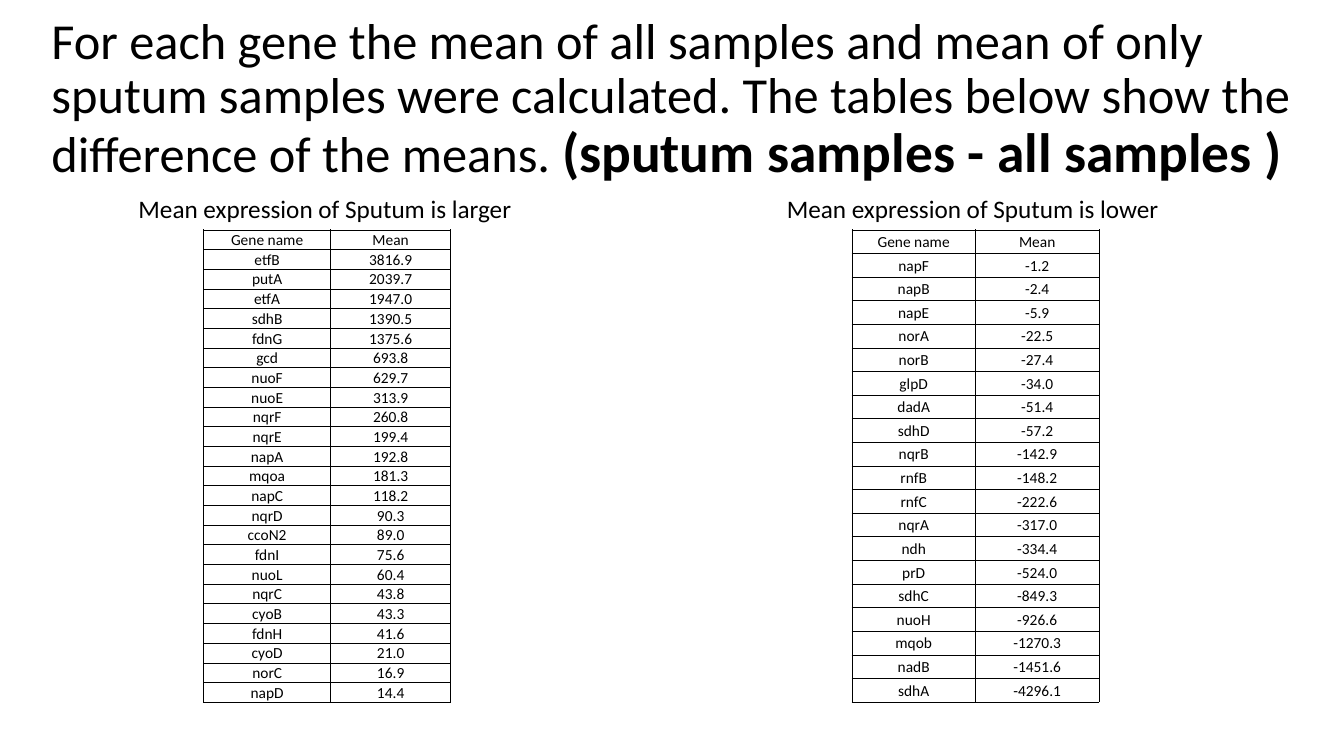
from lxml.etree import SubElement
from pptx import Presentation
from pptx.dml.color import RGBColor
from pptx.enum.text import MSO_ANCHOR, MSO_AUTO_SIZE, PP_ALIGN
from pptx.oxml.ns import qn
from pptx.util import Inches, Pt

COLORS = {"ink": "000000"}
FONT = "Calibri"
SLIDE_WIDTH, SLIDE_HEIGHT = 13.33, 7.5
CAPTION_TOP, CAPTION_WIDTH, CAPTION_HEIGHT = 1.87, 3.94, 0.4
TABLE_TOP, TABLE_HEIGHT = 2.28, 4.69
LARGER_CENTER, LOWER_CENTER = 3.245, 9.675

LARGER_GENES = [
    ("etfB", "3816.9"), ("putA", "2039.7"), ("etfA", "1947.0"),
    ("sdhB", "1390.5"), ("fdnG", "1375.6"), ("gcd", "693.8"),
    ("nuoF", "629.7"), ("nuoE", "313.9"), ("nqrF", "260.8"),
    ("nqrE", "199.4"), ("napA", "192.8"), ("mqoa", "181.3"),
    ("napC", "118.2"), ("nqrD", "90.3"), ("ccoN2", "89.0"),
    ("fdnI", "75.6"), ("nuoL", "60.4"), ("nqrC", "43.8"),
    ("cyoB", "43.3"), ("fdnH", "41.6"), ("cyoD", "21.0"),
    ("norC", "16.9"), ("napD", "14.4"),
]
LOWER_GENES = [
    ("napF", "-1.2"), ("napB", "-2.4"), ("napE", "-5.9"),
    ("norA", "-22.5"), ("norB", "-27.4"), ("glpD", "-34.0"),
    ("dadA", "-51.4"), ("sdhD", "-57.2"), ("nqrB", "-142.9"),
    ("rnfB", "-148.2"), ("rnfC", "-222.6"), ("nqrA", "-317.0"),
    ("ndh", "-334.4"), ("prD", "-524.0"), ("sdhC", "-849.3"),
    ("nuoH", "-926.6"), ("mqob", "-1270.3"), ("nadB", "-1451.6"),
    ("sdhA", "-4296.1"),
]


def style_font(font, size):
    font.name = FONT
    font.size = Pt(size)
    font.color.rgb = RGBColor.from_string(COLORS["ink"])


def place_title(slide, statement, formula):
    title = slide.shapes.title
    title.left, title.top = Inches(0.41), Inches(0.27)
    title.width, title.height = Inches(12.76), Inches(1.45)
    frame = title.text_frame
    frame.word_wrap = True
    frame.auto_size = MSO_AUTO_SIZE.NONE
    frame.vertical_anchor = MSO_ANCHOR.MIDDLE
    paragraph = frame.paragraphs[0]
    paragraph.alignment = PP_ALIGN.LEFT
    paragraph.line_spacing = 0.9
    for text, size, bold in ((statement, 36, False), (formula, 39.6, True)):
        run = paragraph.add_run()
        run.text = text
        style_font(run.font, size)
        run.font.bold = bold


def add_caption(slide, center, text):
    caption = slide.shapes.add_textbox(
        Inches(center - CAPTION_WIDTH / 2), Inches(CAPTION_TOP),
        Inches(CAPTION_WIDTH), Inches(CAPTION_HEIGHT))
    frame = caption.text_frame
    frame.word_wrap = False
    frame.auto_size = MSO_AUTO_SIZE.SHAPE_TO_FIT_TEXT
    frame.text = text
    style_font(frame.paragraphs[0].font, 18)


def add_borders(cell):
    properties = cell._tc.get_or_add_tcPr()
    for side in ("a:lnL", "a:lnR", "a:lnT", "a:lnB"):
        line = SubElement(properties, qn(side), w=str(Pt(0.5)))
        fill = SubElement(line, qn("a:solidFill"))
        SubElement(fill, qn("a:srgbClr"), val=COLORS["ink"])


def fill_cell(cell, text):
    cell.text = text
    cell.vertical_anchor = MSO_ANCHOR.MIDDLE
    cell.margin_left = cell.margin_right = cell.margin_top = Inches(0.01)
    cell.margin_bottom = 0
    paragraph = cell.text_frame.paragraphs[0]
    paragraph.alignment = PP_ALIGN.CENTER
    style_font(paragraph.font, 11)
    add_borders(cell)
    cell.fill.background()


def add_gene_table(slide, center, column_widths, genes):
    records = [("Gene name", "Mean")] + genes
    width = sum(column_widths)
    table = slide.shapes.add_table(
        len(records), len(column_widths),
        Inches(center - width / 2), Inches(TABLE_TOP),
        Inches(width), Inches(TABLE_HEIGHT)).table
    table.first_row = table.horz_banding = False
    for column, column_width in zip(table.columns, column_widths):
        column.width = Inches(column_width)
    for row, record in zip(table.rows, records):
        row.height = Inches(TABLE_HEIGHT / len(records))
        for cell, text in zip(row.cells, record):
            fill_cell(cell, text)


def main():
    presentation = Presentation()
    presentation.slide_width = Inches(SLIDE_WIDTH)
    presentation.slide_height = Inches(SLIDE_HEIGHT)
    slide = presentation.slides.add_slide(presentation.slide_layouts[5])
    place_title(
        slide,
        "For each gene the mean of all samples and mean of only sputum samples "
        "were calculated. The tables below show the difference of the means. ",
        "(sputum samples - all samples )")
    add_caption(slide, LOWER_CENTER, "Mean expression of Sputum is lower")
    add_caption(slide, LARGER_CENTER, "Mean expression of Sputum is larger")
    add_gene_table(slide, LARGER_CENTER, (1.26, 1.19), LARGER_GENES)
    add_gene_table(slide, LOWER_CENTER, (1.225, 1.225), LOWER_GENES)
    presentation.save("out.pptx")


if __name__ == "__main__":
    main()
